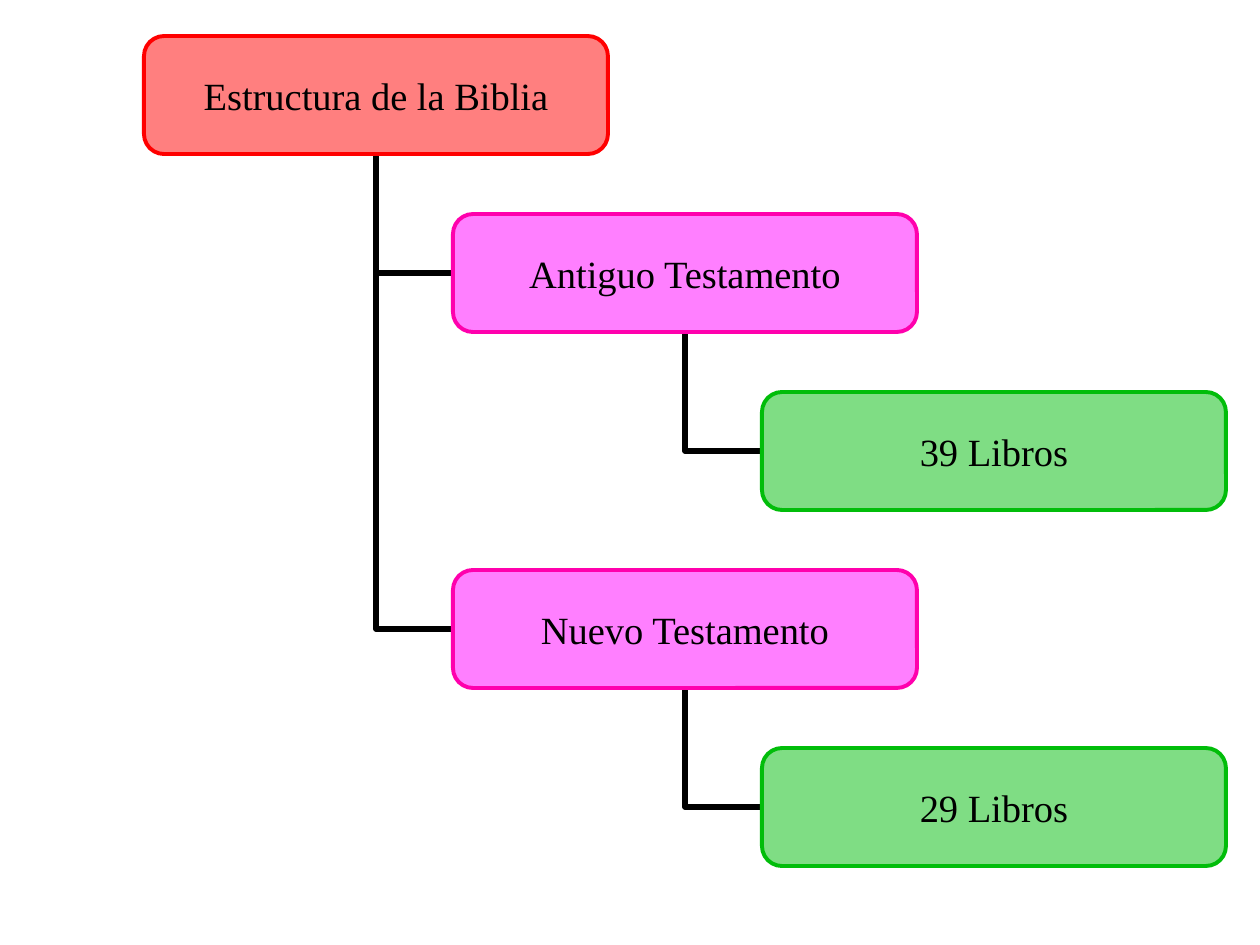
from lxml.etree import SubElement
from pptx import Presentation
from pptx.dml.color import RGBColor
from pptx.enum.shapes import MSO_CONNECTOR, MSO_SHAPE
from pptx.enum.text import MSO_ANCHOR, PP_ALIGN
from pptx.oxml.ns import qn
from pptx.util import Emu, Pt

BOX_WIDTH, BOX_HEIGHT = 464, 118
INDENT, ROW_STEP = 309, 178
LEVEL_COLORS = [("FF0000", "FF0000"), ("FF00FF", "FF00AD"), ("01BD0A", "01BD0A")]
BOOK_TREE = (
    "Estructura de la Biblia",
    [
        ("Antiguo Testamento", [("39 Libros", [])]),
        ("Nuevo Testamento", [("29 Libros", [])]),
    ],
)


def px(length):
    """Turn pixels into EMU."""
    return Emu(round(length * 914400 / 126))


def color(hex_code):
    """Turn a hex string into a colour."""
    return RGBColor.from_string(hex_code)


def add_node(slide, label, level, left, top):
    """Draw one half-transparent rounded box with its label."""
    fill_color, line_color = LEVEL_COLORS[level]
    node = slide.shapes.add_shape(
        MSO_SHAPE.ROUNDED_RECTANGLE, px(left), px(top), px(BOX_WIDTH), px(BOX_HEIGHT)
    )
    node.shadow.inherit = False
    node.adjustments[0] = 0.17
    node.fill.solid()
    node.fill.fore_color.rgb = color(fill_color)
    srgb = node.fill._xPr.find(qn("a:solidFill")).find(qn("a:srgbClr"))
    SubElement(srgb, qn("a:alpha")).set("val", "50000")
    node.line.color.rgb = color(line_color)
    node.line.width = Pt(2.25)

    frame = node.text_frame
    frame.word_wrap = False
    frame.vertical_anchor = MSO_ANCHOR.MIDDLE
    frame.margin_left = frame.margin_right = frame.margin_top = frame.margin_bottom = 0
    paragraph = frame.paragraphs[0]
    paragraph.text = label
    paragraph.alignment = PP_ALIGN.CENTER
    paragraph.font.name = "Times New Roman"
    paragraph.font.size = Pt(22)
    paragraph.font.color.rgb = color("000000")
    return node


def add_branch(slide, parent, child):
    """Join a child's left side to its parent's bottom, behind the boxes."""
    branch = slide.shapes.add_connector(MSO_CONNECTOR.ELBOW, 0, 0, 0, 0)
    branch.begin_connect(child, 1)
    branch.end_connect(parent, 2)
    properties = branch._element.spPr
    properties.find(qn("a:prstGeom")).set("prst", "bentConnector2")
    branch.line.color.rgb = color("000000")
    branch.line.width = Pt(3)
    SubElement(properties, qn("a:effectLst"))
    slide.shapes._spTree.insert(2, branch._element)


def add_tree(slide, tree, left, top, level=0):
    """Draw a node and its descendants; return the node and the next free top."""
    label, children = tree
    node = add_node(slide, label, level, left, top)
    next_top = top + ROW_STEP
    for subtree in children:
        child, next_top = add_tree(slide, subtree, left + INDENT, next_top, level + 1)
        add_branch(slide, node, child)
    return node, next_top


def main():
    """Build and save the slide."""
    presentation = Presentation()
    presentation.slide_width, presentation.slide_height = px(1260), px(945)
    slide = presentation.slides.add_slide(presentation.slide_layouts[6])
    add_tree(slide, BOOK_TREE, 144, 36)
    presentation.save("out.pptx")


if __name__ == "__main__":
    main()
